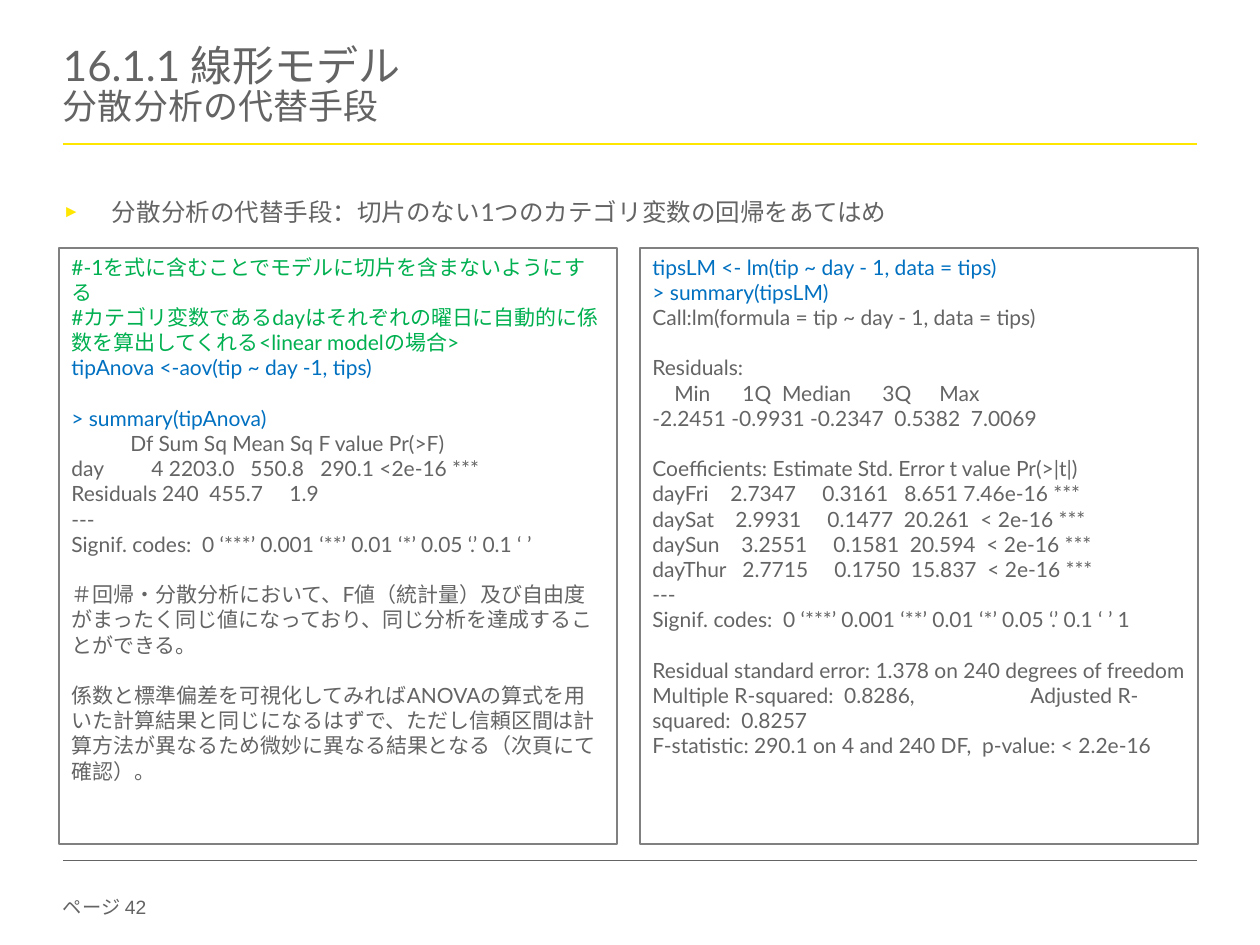
from pptx import Presentation
from pptx.dml.color import RGBColor as RGB
from pptx.enum.shapes import MSO_CONNECTOR as Link, MSO_SHAPE as Kind
from pptx.enum.text import MSO_ANCHOR as Anchor, PP_ALIGN as Align
from pptx.oxml.ns import qn
from pptx.util import Pt
from lxml.etree import SubElement as Sub

PX = 914400 / 126


class Theme:
    font = "Lato"
    foot_font = "Arial"
    gray = RGB.from_string("646464")
    blue = RGB.from_string("0070C0")
    green = RGB.from_string("00B050")
    yellow = RGB.from_string("FFE600")
    edge = RGB.from_string("808080")
    head, sub, body, code, foot = Pt(24), Pt(20), Pt(14), Pt(12), Pt(11)
    gap = Pt(14.4)  # one line of code


def emu(*vals):
    return [round(v * PX) for v in vals]


def style(font, size, color=Theme.gray, name=Theme.font):
    font.size, font.name = size, name
    font.color.rgb = color


deck = Presentation()
deck.slide_width, deck.slide_height = emu(1260, 945)
slide = deck.slides.add_slide(deck.slide_layouts[6])
shapes = slide.shapes

# Text frames: page number, title, bullet
frames = []
for box in [(63, 895, 100, 28), (63, 28, 1134, 118), (63, 197, 1134, 648)]:
    frame = shapes.add_textbox(*emu(*box)).text_frame
    frame.word_wrap = True
    frame.margin_left = frame.margin_right = 0
    frame.margin_top = frame.margin_bottom = 0
    frames.append(frame)
foot, title, body = frames

para = foot.paragraphs[0]
para.text = "ページ 42"
style(para.font, Theme.foot, name=Theme.foot_font)

title.vertical_anchor = Anchor.MIDDLE
para = title.paragraphs[0]
para.line_spacing = 0.85
run = para.add_run()
run.text = "16.1.1 線形モデル"
style(run.font, Theme.head)
para.add_line_break()
run = para.add_run()
run.text = "分散分析の代替手段"
style(run.font, Theme.sub)

para = body.paragraphs[0]
para.text = "分散分析の代替手段：切片のない1つのカテゴリ変数の回帰をあてはめ"
para.alignment = Align.JUSTIFY
para.space_before = Pt(6)
props = para._p.get_or_add_pPr()
indent = emu(49)[0]
props.set("marL", str(indent))
props.set("indent", str(-indent))
Sub(Sub(props, qn("a:buClr")), qn("a:srgbClr")).set("val", str(Theme.yellow))
Sub(props, qn("a:buSzPct")).set("val", "70000")
Sub(props, qn("a:buFont")).set("typeface", Theme.foot_font)
Sub(props, qn("a:buChar")).set("char", "►")
style(para.font, Theme.body)

# Rules under the title and above the page number
for y, color, width in [(144, Theme.yellow, 1.5), (860, Theme.gray, 0.25)]:
    rule = shapes.add_connector(Link.STRAIGHT, *emu(63, y, 1197, y))
    rule.line.color.rgb = color
    rule.line.width = Pt(width)
    Sub(rule._element.spPr, qn("a:effectLst"))

# Code panels: blocks of (text, colour, tab stops in px), a blank line between
gray, blue, green = Theme.gray, Theme.blue, Theme.green
signif = "Signif. codes:  0 ‘***’ 0.001 ‘**’ 0.01 ‘*’ 0.05 ‘.’ 0.1 ‘ ’"
model = [
    [
        ("tipsLM <- lm(tip ~ day - 1, data = tips)", blue, []),
        ("> summary(tipsLM)", blue, []),
        ("Call:lm(formula = tip ~ day - 1, data = tips)", gray, []),
    ],
    [
        ("Residuals:", gray, []),
        ("\tMin\t1Q  Median\t3Q\tMax", gray, [22, 90, 230, 287]),
        ("-2.2451 -0.9931 -0.2347  0.5382  7.0069", gray, []),
    ],
    [
        ("Coefficients: Estimate Std. Error t value Pr(>|t|)", gray, []),
        ("dayFri\t2.7347\t0.3161\t8.651 7.46e-16 ***", gray, [78, 170, 252]),
        ("daySat\t2.9931\t0.1477  20.261  < 2e-16 ***", gray, [83, 175]),
        ("daySun\t3.2551\t0.1581  20.594  < 2e-16 ***", gray, [89, 181]),
        ("dayThur\t2.7715\t0.1750  15.837  < 2e-16 ***", gray, [90, 182]),
        ("---", gray, []),
        (signif + " 1", gray, []),
    ],
    [
        ("Residual standard error: 1.378 on 240 degrees of freedom", gray, []),
        ("Multiple R-squared:  0.8286,\tAdjusted R-squared:  0.8257", gray, [378]),
        ("F-statistic: 290.1 on 4 and 240 DF,  p-value: < 2.2e-16", gray, []),
    ],
]
anova = [
    [
        ("#-1を式に含むことでモデルに切片を含まないようにする", green, []),
        ("#カテゴリ変数であるdayはそれぞれの曜日に自動的に係数を算出してくれる"
         "<linear modelの場合>", green, []),
        ("tipAnova <-aov(tip ~ day -1, tips)", blue, []),
    ],
    [
        ("> summary(tipAnova)", blue, []),
        ("\tDf Sum Sq Mean Sq F value Pr(>F)", gray, [59]),
        ("day\t4 2203.0\t550.8\t290.1 <2e-16 ***", gray, [80, 179, 249]),
        ("Residuals 240  455.7\t1.9", gray, [218]),
        ("---", gray, []),
        (signif, gray, []),
    ],
    [
        ("＃回帰・分散分析において、F値（統計量）及び自由度がまったく同じ値に"
         "なっており、同じ分析を達成することができる。", gray, []),
    ],
    [
        ("係数と標準偏差を可視化してみればANOVAの算式を用いた計算結果と同じに"
         "なるはずで、ただし信頼区間は計算方法が異なるため微妙に異なる結果となる"
         "（次頁にて確認）。", gray, []),
    ],
]

for left, blocks in [(640, model), (59, anova)]:
    panel = shapes.add_shape(Kind.RECTANGLE, *emu(left, 248, 558, 596))
    panel.shadow.inherit = False
    panel.fill.background()
    panel.line.color.rgb = Theme.edge
    panel.line.width = Pt(0.75)
    frame = panel.text_frame
    frame.word_wrap = True
    frame.vertical_anchor = Anchor.TOP
    para = None
    for i, block in enumerate(blocks):
        for j, (text, color, stops) in enumerate(block):
            para = frame.add_paragraph() if para else frame.paragraphs[0]
            para.text = text
            para.alignment = Align.LEFT
            if i and not j:
                para.space_before = Theme.gap
            if stops:
                tabs = Sub(para._p.get_or_add_pPr(), qn("a:tabLst"))
                for stop in emu(*stops):
                    Sub(tabs, qn("a:tab"), pos=str(stop), algn="l")
            style(para.font, Theme.code, color)

deck.save("out.pptx")
